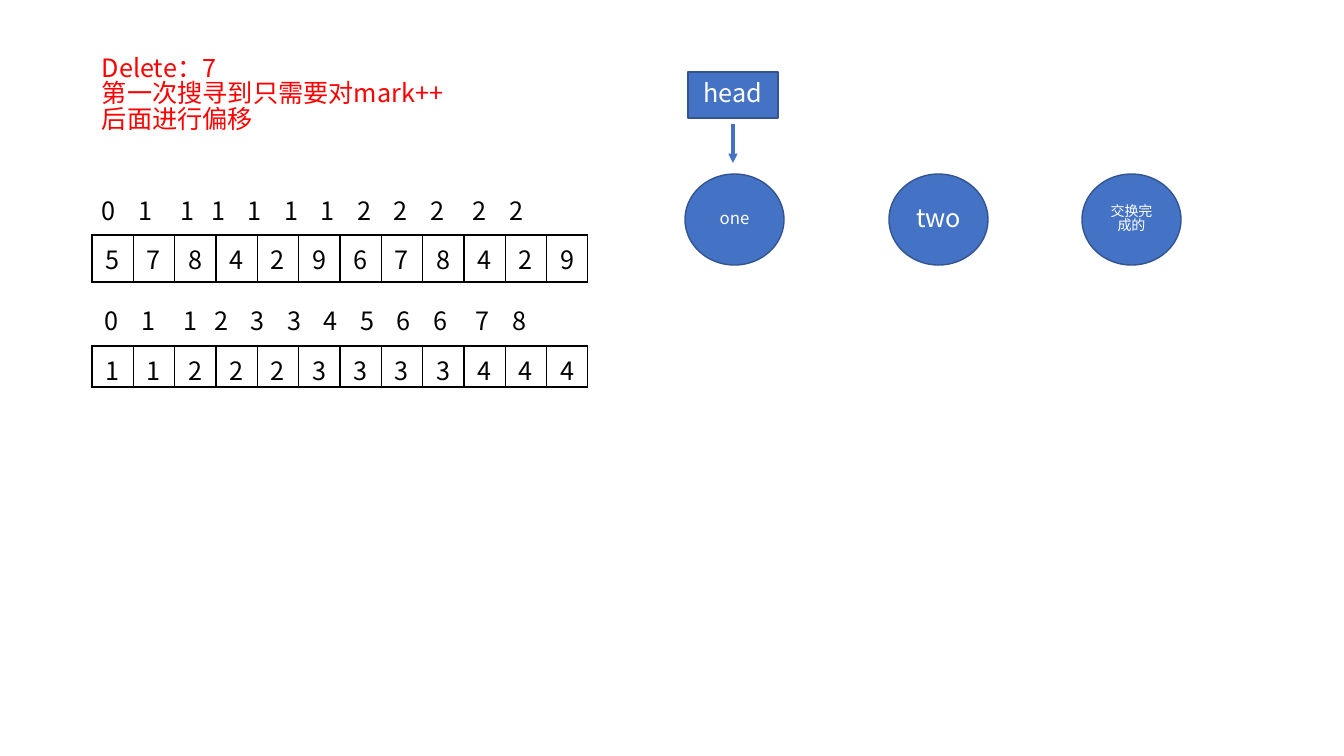
from lxml.etree import SubElement
from pptx import Presentation
from pptx.dml.color import RGBColor
from pptx.enum.shapes import MSO_CONNECTOR, MSO_SHAPE
from pptx.enum.text import MSO_ANCHOR, PP_ALIGN
from pptx.oxml.ns import qn
from pptx.util import Pt

EMU_PER_PIXEL = 914400 / 100.8
FONT = "Noto Sans CJK SC"
LINE_SPACING = 0.84
BLACK = RGBColor(0x00, 0x00, 0x00)
WHITE = RGBColor(0xFF, 0xFF, 0xFF)
RED = RGBColor(0xFF, 0x00, 0x00)
BLUE = RGBColor(0x44, 0x72, 0xC4)
DARK_BLUE = RGBColor(0x32, 0x54, 0x91)


def px(*lengths):
    return [round(length * EMU_PER_PIXEL) for length in lengths]


class SlideBuilder:
    def __init__(self, slide):
        self.slide = slide

    def style(self, paragraph, color, size=18, align=PP_ALIGN.LEFT):
        paragraph.alignment = align
        for run in paragraph.runs:
            run.font.size = Pt(size)
            run.font.name = FONT
            run.font.color.rgb = color
            SubElement(run.font._element, qn("a:ea"), typeface=FONT)

    def text(self, box, content, color, tab_stops=()):
        shape = self.slide.shapes.add_textbox(*px(*box))
        shape.text_frame.word_wrap = True
        shape.text_frame.text = content
        for paragraph in shape.text_frame.paragraphs:
            paragraph.line_spacing = LINE_SPACING
            self.style(paragraph, color)
            if tab_stops:
                tab_list = SubElement(paragraph._p.get_or_add_pPr(), qn("a:tabLst"))
                for position in px(*tab_stops):
                    SubElement(tab_list, qn("a:tab"), pos=str(position), algn="l")

    def node(self, preset, box, label, size):
        shape = self.slide.shapes.add_shape(preset, *px(*box))
        shape.shadow.inherit = False
        shape.fill.solid()
        shape.fill.fore_color.rgb = BLUE
        shape.line.color.rgb = DARK_BLUE
        shape.line.width = Pt(1)
        frame = shape.text_frame
        frame.word_wrap = True
        frame.vertical_anchor = MSO_ANCHOR.MIDDLE
        frame.text = label
        frame.paragraphs[0].line_spacing = LINE_SPACING
        self.style(frame.paragraphs[0], WHITE, size, PP_ALIGN.CENTER)

    def arrow(self, start, end):
        connector = self.slide.shapes.add_connector(MSO_CONNECTOR.STRAIGHT, *px(*start, *end))
        connector.line.color.rgb = BLUE
        connector.line.width = Pt(2.25)
        SubElement(connector.line._get_or_add_ln(), qn("a:tailEnd"), type="triangle")
        SubElement(connector._element.spPr, qn("a:effectLst"))

    def array(self, box, digits, bottom_margin):
        left, top, width, height = px(*box)
        frame = self.slide.shapes.add_table(1, len(digits), left, top, width, height)
        table = frame.table
        table.first_row = False
        table.horz_banding = False
        for column, digit in zip(table.columns, digits):
            column.width = round(width / len(digits))
        for cell, digit in zip(table.iter_cells(), digits):
            cell.text = digit
            cell.margin_bottom = bottom_margin
            self.style(cell.text_frame.paragraphs[0], BLACK, align=PP_ALIGN.CENTER)
            self.borders(cell)
            cell.fill.background()

    def borders(self, cell):
        properties = cell._tc.get_or_add_tcPr()
        for side in ("lnL", "lnR", "lnT", "lnB"):
            line = SubElement(properties, qn(f"a:{side}"), w=str(Pt(1)))
            fill = SubElement(line, qn("a:solidFill"))
            SubElement(fill, qn("a:srgbClr"), val=str(BLACK))


presentation = Presentation()
presentation.slide_width, presentation.slide_height = px(1344, 756)
builder = SlideBuilder(presentation.slides.add_slide(presentation.slide_layouts[6]))

builder.text((92, 52, 545, 102), "Delete：7\n第一次搜寻到只需要对mark++\n后面进行偏移", RED)

MARK_STOPS = (37, 79, 110, 146, 183, 219, 256, 292, 329, 371, 408)
HALF_WIDTH = 248
ARRAYS = (
    (92, 195, "011111122222", 235, 47, ("578429", "678429"), Pt(3.6)),
    (95, 305, "011233456678", 346, 41, ("112223", "333444"), 0),
)
for mark_left, mark_top, marks, top, height, halves, bottom_margin in ARRAYS:
    builder.text((mark_left, mark_top, 602, 40), "\t".join(marks), BLACK, MARK_STOPS)
    for index, digits in enumerate(halves):
        left = 92 + index * HALF_WIDTH
        builder.array((left, top, HALF_WIDTH, height), digits, bottom_margin)

for left, label, size in ((685, "one", 12), (889, "two", 18), (1082, "交换完成的", 10)):
    builder.node(MSO_SHAPE.OVAL, (left, 174, 99, 91), label, size)
builder.node(MSO_SHAPE.RECTANGLE, (688, 72, 90, 46), "head", 18)
builder.arrow((733, 124), (733, 163))

presentation.save("out.pptx")
